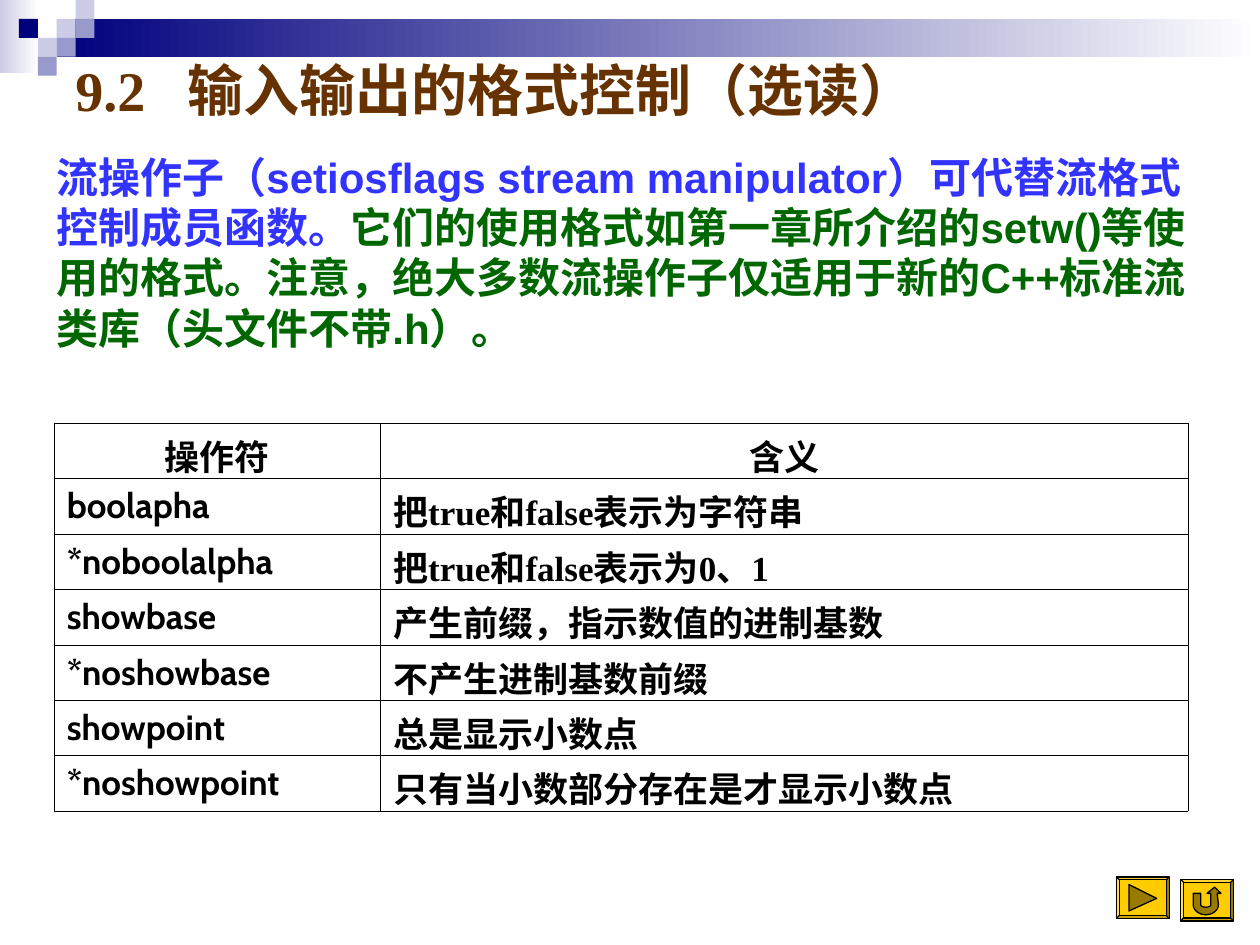
from math import cos, pi, sin

from lxml import etree
from pptx import Presentation
from pptx.dml.color import RGBColor
from pptx.enum import shapes, text
from pptx.oxml.ns import qn
from pptx.util import Inches, Pt

SERIF, SANS, CABIN = "Times New Roman", "Arial", "Cabin"
NAVY, LILAC, PALE, WHITE = "00007D", "9999CC", "CCCCE6", "FFFFFF"
BLACK, GOLD, BRONZE = "000000", "FFCC00", "997A00"

TITLE = [("9.2\t输入输出的格式控制（选读）", "663300")]
INTRO = [
    ("流操作子（setiosflags stream manipulator）可代替流格式控制成员函数。", "3333FF"),
    ("它们的使用格式如第一章所介绍的setw()等使用的格式。"
     "注意，绝大多数流操作子仅适用于新的C++标准流类库（头文件不带.h）。", "006600"),
]
ROWS = [
    ("操作符", "含义"),
    ("boolapha", "把true和false表示为字符串"),
    ("*noboolalpha", "把true和false表示为0、1"),
    ("showbase", "产生前缀，指示数值的进制基数"),
    ("*noshowbase", "不产生进制基数前缀"),
    ("showpoint", "总是显示小数点"),
    ("*noshowpoint", "只有当小数部分存在是才显示小数点"),
]
COLS = [2.59, 6.41]
ROW_H = 0.44
BARS = [((0, 0, 0.31, 0.58), PALE), ((0.45, 0.15, 9.55, 0.3), NAVY)]
TILE = 0.15
TILES = [(3, 1, PALE), (4, 0, PALE), (4, 1, LILAC), (2, 2, PALE),
         (1, 1, NAVY), (3, 2, LILAC), (2, 3, LILAC)]  # column, row, colour


def rgb(code):
    return RGBColor.from_string(code)


def paint(shape, fill, line=None):
    shape.shadow.inherit = False
    shape.fill.solid()
    shape.fill.fore_color.rgb = rgb(fill)
    if line:
        shape.line.color.rgb = rgb(line)
        shape.line.width = Pt(0.75)
    else:
        shape.line.fill.background()


def add_box(slide, box, fill, line=None, kind=shapes.MSO_SHAPE.RECTANGLE):
    shape = slide.shapes.add_shape(kind, *map(Inches, box))
    paint(shape, fill, line)
    return shape


def style(font, size, name, color):
    font.size, font.name, font.bold = Pt(size), name, True
    font.color.rgb = rgb(color)


def add_text(slide, box, parts, size, name, tab=None):
    frame = slide.shapes.add_textbox(*map(Inches, box)).text_frame
    frame.word_wrap = True
    para = frame.paragraphs[0]
    if tab:
        stops = etree.SubElement(para._p.get_or_add_pPr(), qn("a:tabLst"))
        etree.SubElement(stops, qn("a:tab"), pos=str(Inches(tab)), algn="l")
    for words, color in parts:
        run = para.add_run()
        run.text = words
        style(run.font, size, name, color)
    return frame


def add_edge(cell, side, width):
    edge = etree.SubElement(cell._tc.get_or_add_tcPr(), qn("a:ln" + side),
                            w=str(Pt(width)))
    fill = etree.SubElement(edge, qn("a:solidFill"))
    etree.SubElement(fill, qn("a:srgbClr"), val=BLACK)


def add_table(slide, left, top):
    last = len(ROWS) - 1
    table = slide.shapes.add_table(
        len(ROWS), len(COLS), Inches(left), Inches(top),
        Inches(sum(COLS)), Inches(ROW_H * len(ROWS))).table
    table.first_row = table.horz_banding = False
    for col, width in zip(table.columns, COLS):
        col.width = Inches(width)
    for r, row in enumerate(ROWS):
        for c, words in enumerate(row):
            cell = table.cell(r, c)
            add_edge(cell, "L", 0.45 if c else 0.34)
            add_edge(cell, "R", 0.34 if c else 0.45)
            add_edge(cell, "T", 0.96 if r < 2 else 0.45)
            add_edge(cell, "B", 0.96 if r == 0 else 0.34 if r == last else 0.45)
            cell.fill.background()
            cell.text = words
            para = cell.text_frame.paragraphs[0]
            if r == 0:
                para.alignment = text.PP_ALIGN.CENTER
            style(para.runs[0].font, 20, CABIN if r and not c else SERIF, BLACK)


def arc(rx, ry, start, end, steps=12):
    """Points of a half turn around the bottom bend of the return arrow."""
    turns = [start + (end - start) * i / steps for i in range(steps + 1)]
    return [(0.2 + rx * cos(t), 0.2 + ry * sin(t)) for t in turns]


def add_button(slide, left, top, icon):
    """Bevelled button; the icon's points are inches from its top left corner."""
    face = add_box(slide, (left, top, 0.42, 0.33), GOLD, BLACK,
                   shapes.MSO_SHAPE.BEVEL)
    face.adjustments[0] = 0.07
    dots = [(Inches(left + x), Inches(top + y)) for x, y in icon]
    pen = slide.shapes.build_freeform(*dots[0])
    pen.add_line_segments(dots[1:], close=True)
    paint(pen.convert_to_shape(), BRONZE, BLACK)


def main():
    deck = Presentation()
    deck.slide_width, deck.slide_height = Inches(10), Inches(7.5)
    slide = deck.slides.add_slide(deck.slide_layouts[6])

    for box, color in BARS:
        fill = add_box(slide, box, color).fill
        fill.gradient()
        fill.gradient_angle = 0
        for stop, shade in zip(fill.gradient_stops, (color, WHITE)):
            stop.color.rgb = rgb(shade)
    for col, row, color in TILES:
        add_box(slide, (col * TILE, row * TILE, TILE, TILE), color)

    title = add_text(slide, (0.5, 0.5, 9, 0.41), TITLE, 32, SERIF, tab=0.89)
    title.vertical_anchor = text.MSO_ANCHOR.MIDDLE
    add_text(slide, (0.35, 1.15, 9.21, 1.7), INTRO, 24, SANS)
    add_table(slide, 0.43, 3.36)

    add_button(slide, 8.86, 6.96, [(0.1, 0.06), (0.32, 0.17), (0.1, 0.27)])
    add_button(slide, 9.37, 6.98, [
        (0.1, 0.11), (0.16, 0.11), *arc(0.04, 0.02, pi, 0),
        (0.24, 0.11), (0.21, 0.11), (0.27, 0.06), (0.32, 0.11), (0.29, 0.11),
        *arc(0.1, 0.08, 0, pi)])
    deck.save("out.pptx")


if __name__ == "__main__":
    main()
